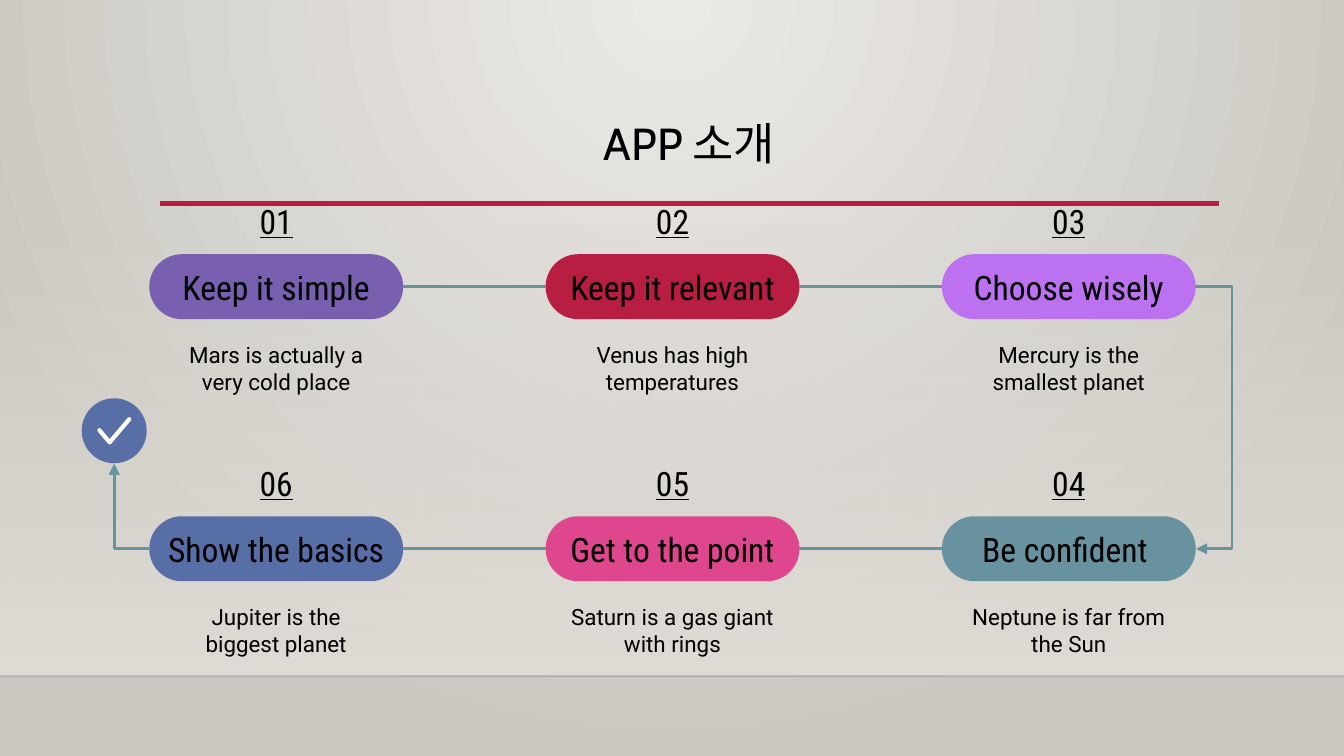
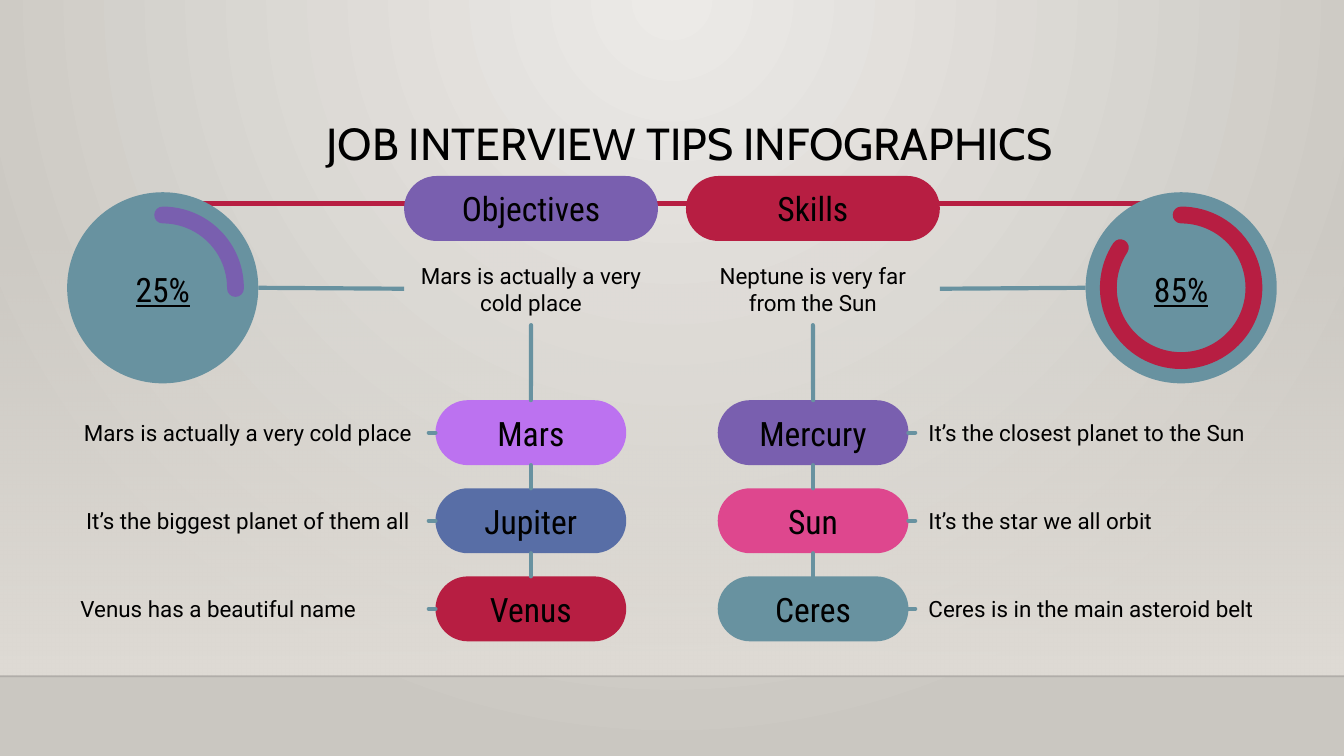
"""Build two infographic slides: an app introduction and job interview tips."""
from dataclasses import dataclass

from lxml import etree
from pptx import Presentation
from pptx.dml.color import RGBColor
from pptx.enum.shapes import MSO_CONNECTOR, MSO_SHAPE
from pptx.enum.text import MSO_ANCHOR, PP_ALIGN
from pptx.oxml.ns import qn
from pptx.shapes.autoshape import Shape
from pptx.shapes.connector import Connector
from pptx.slide import Slide
from pptx.util import Pt

RECTANGLE, PILL = MSO_SHAPE.RECTANGLE, MSO_SHAPE.ROUNDED_RECTANGLE
ELLIPSE, ARC = MSO_SHAPE.OVAL, MSO_SHAPE.ARC
STRAIGHT, ELBOW = MSO_CONNECTOR.STRAIGHT, MSO_CONNECTOR.ELBOW
TOP_ANCHOR, MIDDLE = MSO_ANCHOR.TOP, MSO_ANCHOR.MIDDLE
LEFT, CENTER = PP_ALIGN.LEFT, PP_ALIGN.CENTER
TOP_SITE, LEFT_SITE, BOTTOM_SITE, RIGHT_SITE = range(4)

BLACK, WHITE, SAND = "000000", "FFFFFF", "DFDBD5"
PURPLE, RED, VIOLET = "795FAF", "B71E42", "BC72F0"
TEAL, PINK, BLUE = "6892A0", "DE478E", "586EA6"

WIDTH, HEIGHT, FLOOR = 720, 405, 362.3
PILL_WIDTH, PILL_HEIGHT = 136, 34.8
TOPIC_WIDTH, GAUGE_SIZE = 102.2, 102.4
INSET = 7.2

TITLE = {"name": "Cabin", "size": Pt(24)}
HEADING = {"name": "Roboto Condensed", "size": Pt(18)}
FIGURE = {**HEADING, "underline": True}
BODY = {"name": "Roboto", "size": Pt(12)}


@dataclass(frozen=True)
class Box:
    """A rectangular area in points."""
    left: float
    top: float
    width: float
    height: float

    @property
    def center(self) -> float:
        """Return the horizontal centre."""
        return self.left + self.width / 2

    @property
    def middle(self) -> float:
        """Return the vertical middle."""
        return self.top + self.height / 2

    def mirrored(self, mirror: bool) -> "Box":
        """Return the box, reflected across the slide if asked."""
        left = WIDTH - self.left - self.width if mirror else self.left
        return Box(left, self.top, self.width, self.height)

    def emu(self) -> tuple[int, ...]:
        """Return the four lengths for python-pptx."""
        return tuple(Pt(v) for v in (self.left, self.top, self.width, self.height))


@dataclass(frozen=True)
class Step:
    """One numbered step of the process."""
    heading: str
    detail: str
    color: str


@dataclass(frozen=True)
class Topic:
    """One planet pill with its remark."""
    heading: str
    remark: str
    color: str
    align: PP_ALIGN


@dataclass(frozen=True)
class Panel:
    """One half of the tips slide."""
    heading: str
    summary: str
    color: str
    percent: str
    arc_end: float
    mirror: bool
    topics: tuple[Topic, ...]


STEPS = (
    Step("Keep it simple", "Mars is actually a very cold place", PURPLE),
    Step("Keep it relevant", "Venus has high temperatures", RED),
    Step("Choose wisely", "Mercury is the smallest planet", VIOLET),
    Step("Be confident ", "Neptune is far from the Sun", TEAL),
    Step("Get to the point", "Saturn is a gas giant with rings", PINK),
    Step("Show the basics", "Jupiter is the biggest planet", BLUE),
)
PANELS = (
    Panel("Objectives", "Mars is actually a very cold place", PURPLE, "25%", 0.33, False, (
        Topic("Mars", "Mars is actually a very cold place", VIOLET, CENTER),
        Topic("Jupiter", "It’s the biggest planet of them all", BLUE, CENTER),
        Topic("Venus", "Venus has a beautiful name", RED, LEFT))),
    Panel("Skills", "Neptune is very far from the Sun", RED, "85%", 128.05, True, (
        Topic("Mercury", "It’s the closest planet to the Sun", PURPLE, LEFT),
        Topic("Sun", "It’s the star we all orbit", PINK, LEFT),
        Topic("Ceres", "Ceres is in the main asteroid belt", TEAL, LEFT))),
)


def rgb(color: str) -> RGBColor:
    """Turn a hex string into a colour."""
    return RGBColor.from_string(color)


def set_alpha(color_element: etree._Element, percent: int) -> None:
    """Make a colour element partly transparent."""
    etree.SubElement(color_element, qn("a:alpha")).set("val", str(percent * 1000))


def stroke(shape: Shape | Connector, color: str, weight: float, cap: str = "flat") -> None:
    """Style the line of a shape or connector."""
    shape.line.color.rgb = rgb(color)
    shape.line.width = Pt(weight)
    shape.line._get_or_add_ln().set("cap", cap)


def write(shape: Shape, text: str, font: dict, align: PP_ALIGN = CENTER,
          anchor: MSO_ANCHOR = MIDDLE, side: float = INSET, spacing: float = 1.0) -> None:
    """Put one formatted paragraph into a shape."""
    frame = shape.text_frame
    layout = {"word_wrap": True, "vertical_anchor": anchor,
              "margin_left": Pt(side), "margin_right": Pt(side),
              "margin_top": Pt(INSET), "margin_bottom": Pt(INSET)}
    for key, value in layout.items():
        setattr(frame, key, value)
    paragraph = frame.paragraphs[0]
    paragraph.alignment, paragraph.line_spacing = align, spacing
    run = paragraph.add_run()
    run.text = text
    for key, value in font.items():
        setattr(run.font, key, value)
    run.font.color.rgb = rgb(BLACK)


def add_label(slide: Slide, box: Box, text: str, font: dict, **options) -> Shape:
    """Add a text box."""
    label = slide.shapes.add_textbox(*box.emu())
    write(label, text, font, **options)
    return label


def add_solid(slide: Slide, kind: MSO_SHAPE, box: Box, color: str) -> Shape:
    """Add a filled shape without outline or shadow."""
    solid = slide.shapes.add_shape(kind, *box.emu())
    solid.shadow.inherit = False
    solid.fill.solid()
    solid.fill.fore_color.rgb = rgb(color)
    solid.line.fill.background()
    return solid


def add_pill(slide: Slide, box: Box, text: str, color: str) -> Shape:
    """Add a fully rounded heading."""
    pill = add_solid(slide, PILL, box, color)
    pill.adjustments[0] = 0.5
    write(pill, text, HEADING, side=0)
    return pill


def add_line(slide: Slide, begin: tuple, end: tuple, color: str, weight: float,
             cap: str = "flat", kind: MSO_CONNECTOR = STRAIGHT) -> Connector:
    """Add a connector between two points."""
    line = slide.shapes.add_connector(kind, *(Pt(v) for v in (*begin, *end)))
    stroke(line, color, weight, cap)
    etree.SubElement(line.element.spPr, qn("a:effectLst"))
    return line


def join(slide: Slide, first: Shape, first_site: int, second: Shape,
         second_site: int, weight: float, cap: str = "flat") -> None:
    """Join the sides of two shapes with a straight connector."""
    line = add_line(slide, (0, 0), (0, 0), TEAL, weight, cap)
    line.begin_connect(first, first_site)
    line.end_connect(second, second_site)


def add_elbow(slide: Slide, box: Box, preset: str, bend: float = 0, turn: int = 0) -> None:
    """Add a bent arrow, with its bend as a multiple of its width."""
    arrow = add_line(slide, (box.left, box.top),
                     (box.left + box.width, box.top + box.height), TEAL, 1.5, kind=ELBOW)
    geometry = arrow.element.spPr.find(qn("a:prstGeom"))
    geometry.set("prst", preset)
    if bend:
        guide = etree.SubElement(geometry.find(qn("a:avLst")), qn("a:gd"))
        guide.set("name", "adj1")
        guide.set("fmla", f"val {round(bend * 100000)}")
    if turn:
        arrow.element.spPr.find(qn("a:xfrm")).set("rot", str(turn * 60000))
    etree.SubElement(arrow.line._get_or_add_ln(), qn("a:tailEnd")).set("type", "triangle")


def set_gradient(fill, colors: tuple[str, str]) -> None:
    """Give a fill a two-stop gradient."""
    fill.gradient()
    for stop, color, position in zip(fill.gradient_stops, colors, (0, 1)):
        stop.color.rgb = rgb(color)
        stop.position = position


def add_base(deck: Presentation, title: str) -> Slide:
    """Add a slide with backdrop, floor, rule and title."""
    slide = deck.slides.add_slide(deck.slide_layouts[6])
    set_gradient(slide.background.fill, ("ECEAE7", "CAC7C1"))
    linear = slide.element.find(".//" + qn("a:lin"))
    radial = etree.Element(qn("a:path"))
    radial.set("path", "circle")
    focus = etree.SubElement(radial, qn("a:fillToRect"))
    for edge, percent in {"l": 43, "t": 0, "r": 43, "b": 100}.items():
        focus.set(edge, str(percent * 1000))
    linear.getparent().replace(linear, radial)

    wall = add_solid(slide, RECTANGLE, Box(0, 119.5, WIDTH, FLOOR - 119.5), SAND)
    set_gradient(wall.fill, (SAND, SAND))
    wall.fill.gradient_angle = 270
    set_alpha(wall.element.find(".//" + qn("a:srgbClr")), 0)
    floor = add_line(slide, (0, FLOOR), (WIDTH, FLOOR), "000001", 1)
    set_alpha(floor.element.find(".//" + qn("a:srgbClr")), 20)
    add_line(slide, (85.7, 109), (653, 109), RED, 2.5)
    add_label(slide, Box(85.7, 47.5, 567.4, 61.9), title, TITLE, spacing=0.9)
    return slide


def add_process(deck: Presentation) -> None:
    """Build the six-step process slide."""
    slide = add_base(deck, "APP 소개")
    pills = []
    for index, step in enumerate(STEPS):
        row, place = divmod(index, 3)
        column = 2 - place if row else place
        box = Box(80 + 212.3 * column, 136.2 + 140.4 * row, PILL_WIDTH, PILL_HEIGHT)
        add_label(slide, Box(box.center - 21.2, box.top - 36, 42.4, 36),
                  f"{index + 1:02}", FIGURE)
        pills.append(add_pill(slide, box, step.heading, step.color))
        add_label(slide, Box(box.center - 62, box.top + 39.6, 124, 44),
                  step.detail, BODY, anchor=TOP_ANCHOR)
        if place:
            sites = (LEFT_SITE, RIGHT_SITE) if row else (RIGHT_SITE, LEFT_SITE)
            join(slide, pills[-2], sites[0], pills[-1], sites[1], 1.5)

    add_elbow(slide, Box(640.4, 153.6, 0.34, 140.4), "bentConnector3", bend=57.7)
    add_elbow(slide, Box(61.2, 248.4, 18.8, 45.6), "bentConnector2", turn=180)
    add_solid(slide, ELLIPSE, Box(43.8, 213.4, PILL_HEIGHT, PILL_HEIGHT), BLUE)
    outline = slide.shapes.build_freeform(Pt(53.3), Pt(230.5))
    outline.add_line_segments([(Pt(58.8), Pt(237)), (Pt(69.3), Pt(224.6))], close=False)
    check = outline.convert_to_shape()
    check.shadow.inherit = False
    check.fill.background()
    stroke(check, WHITE, 2.25, "rnd")


def add_panel(slide: Slide, panel: Panel) -> None:
    """Build one half of the tips slide."""
    inner, outer = (LEFT_SITE, RIGHT_SITE) if panel.mirror else (RIGHT_SITE, LEFT_SITE)
    heading = Box(216.5, 94.3, PILL_WIDTH, PILL_HEIGHT).mirrored(panel.mirror)
    add_pill(slide, heading, panel.heading, panel.color)
    summary = Box(heading.left, 135.2, PILL_WIDTH, 39)
    upper = add_label(slide, summary, panel.summary, BODY)

    gauge = Box(36, 103, GAUGE_SIZE, GAUGE_SIZE).mirrored(panel.mirror)
    add_solid(slide, ELLIPSE, gauge, TEAL)
    arc = slide.shapes.add_shape(ARC, *Box(gauge.left + 12.2, gauge.top + 12.2, 78, 78).emu())
    arc.shadow.inherit = False
    arc.fill.background()
    arc.adjustments[0], arc.adjustments[1] = 162, panel.arc_end
    stroke(arc, panel.color, 9, "rnd")
    add_label(slide, Box(gauge.center - 29.5, 141.8, 59, 26), panel.percent, FIGURE)
    edge = gauge.left if panel.mirror else gauge.left + gauge.width
    link = add_line(slide, (summary.center, summary.middle), (edge, gauge.middle), TEAL, 2.25)
    link.begin_connect(upper, outer)

    for row, topic in enumerate(panel.topics):
        box = Box(233.3, 214.4 + 47.2 * row, TOPIC_WIDTH, PILL_HEIGHT).mirrored(panel.mirror)
        pill = add_pill(slide, box, topic.heading, topic.color)
        place = Box(36, box.middle - 15.8, 193.7, 31.6).mirrored(panel.mirror)
        remark = add_label(slide, place, topic.remark, BODY, align=topic.align)
        join(slide, upper, BOTTOM_SITE, pill, TOP_SITE, 2.25, "rnd")
        join(slide, pill, outer, remark, inner, 2.25, "rnd")
        upper = pill


def main() -> None:
    """Build and save the deck."""
    deck = Presentation()
    deck.slide_width, deck.slide_height = Pt(WIDTH), Pt(HEIGHT)
    add_process(deck)
    tips = add_base(deck, "JOB INTERVIEW TIPS INFOGRAPHICS")
    for panel in PANELS:
        add_panel(tips, panel)
    deck.save("out.pptx")


if __name__ == "__main__":
    main()
